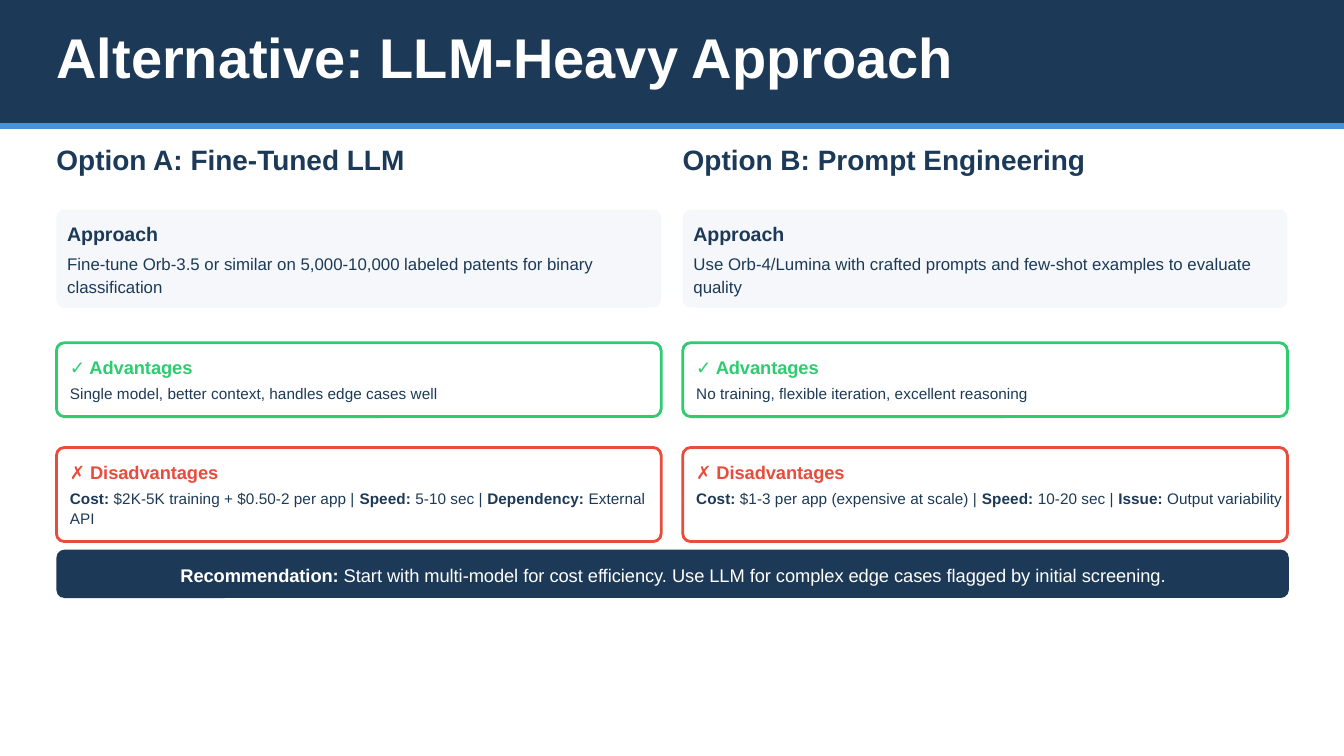
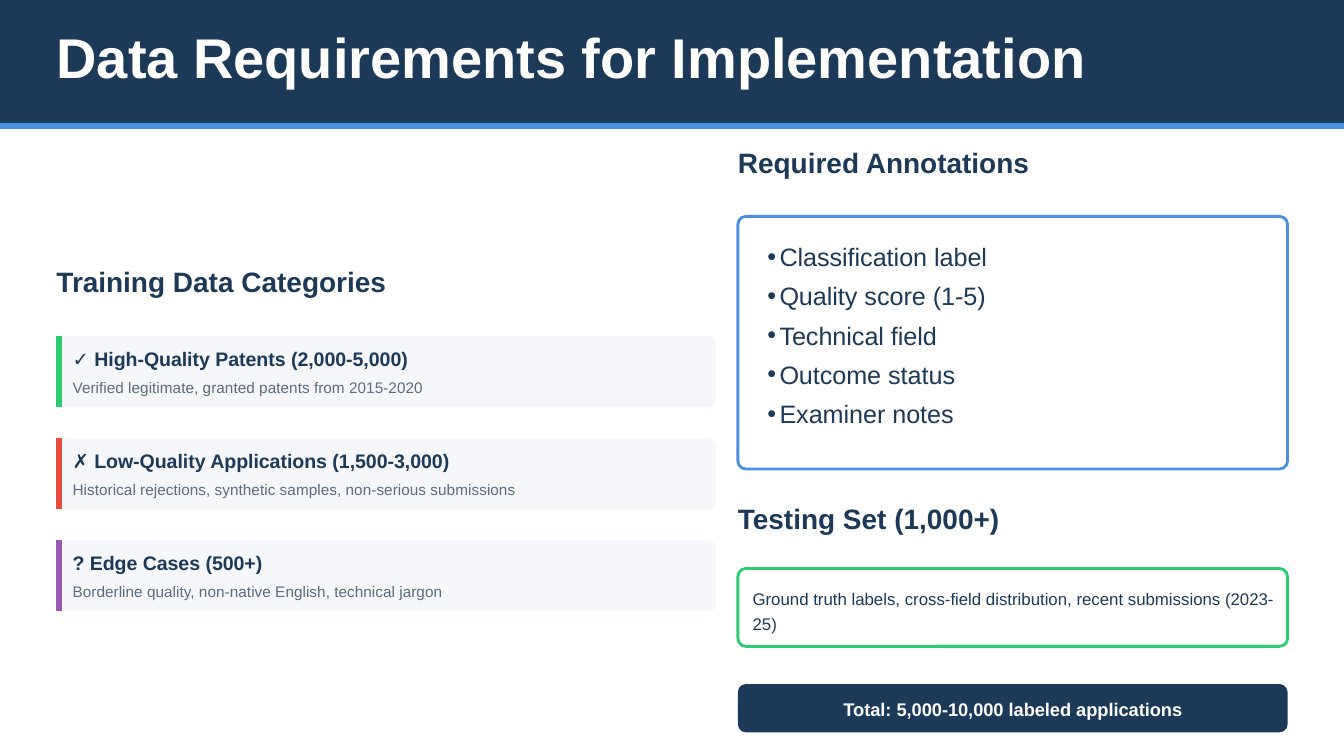
from dataclasses import dataclass
from typing import NamedTuple, Optional

from lxml.etree import SubElement
from pptx import Presentation
from pptx.dml.color import RGBColor
from pptx.enum.shapes import MSO_CONNECTOR as Connector, MSO_SHAPE as Preset
from pptx.enum.text import PP_ALIGN as Align
from pptx.oxml.ns import qn
from pptx.slide import Slide
from pptx.util import Inches, Pt


class TextStyle(NamedTuple):
    size: float
    leading: float
    after: float = 0


@dataclass(frozen=True)
class Theme:
    font: str = "Arial"
    navy: str = "1C3A57"
    blue: str = "4A90E2"
    green: str = "2ECC71"
    red: str = "E74C3C"
    purple: str = "9B59B6"
    pale: str = "F5F7FA"
    white: str = "FFFFFF"
    grey: str = "5A6C7D"
    title: TextStyle = TextStyle(30, 30)
    heading: TextStyle = TextStyle(15, 16.7, 6)
    bullet: TextStyle = TextStyle(13.5, 21)
    card_title: TextStyle = TextStyle(10.5, 12.6, 3)
    body: TextStyle = TextStyle(9, 12.6)
    note: TextStyle = TextStyle(9, 13.5)
    verdict_title: TextStyle = TextStyle(9.75, 11.7, 2.2)
    verdict: TextStyle = TextStyle(8.25, 10.7)
    detail: TextStyle = TextStyle(8.25, 11.6)
    banner: TextStyle = TextStyle(9.75, 13.7)


THEME = Theme()
SLIDE_WIDTH = 10
SLIDE_HEIGHT = SLIDE_WIDTH * 9 / 16
MARGIN = 0.42
CORNER = 0.06


class Box(NamedTuple):
    left: float
    top: float
    width: float
    height: float


@dataclass(frozen=True)
class Option:
    left: float
    heading: str
    heading_width: float
    approach: str
    advantages: str
    disadvantages: str


@dataclass(frozen=True)
class Category:
    title: str
    detail: str
    accent: str


OPTIONS = (
    Option(MARGIN, "Option A: Fine-Tuned LLM", 2.65,
           "Fine-tune Orb-3.5 or similar on 5,000-10,000 labeled patents "
           "for binary classification",
           "Single model, better context, handles edge cases well",
           "**Cost:** $2K-5K training + $0.50-2 per app | **Speed:** 5-10 sec | "
           "**Dependency:** External API"),
    Option(5.08, "Option B: Prompt Engineering", 3.06,
           "Use Orb-4/Lumina with crafted prompts and few-shot examples "
           "to evaluate quality",
           "No training, flexible iteration, excellent reasoning",
           "**Cost:** $1-3 per app (expensive at scale) | **Speed:** 10-20 sec | "
           "**Issue:** Output variability"),
)

CATEGORIES = (
    Category("✓ High-Quality Patents (2,000-5,000)",
             "Verified legitimate, granted patents from 2015-2020", THEME.green),
    Category("✗ Low-Quality Applications (1,500-3,000)",
             "Historical rejections, synthetic samples, non-serious submissions",
             THEME.red),
    Category("? Edge Cases (500+)",
             "Borderline quality, non-native English, technical jargon",
             THEME.purple),
)

ANNOTATIONS = ("Classification label", "Quality score (1-5)", "Technical field",
               "Outcome status", "Examiner notes")


# Drawing helpers
def inches(box: Box) -> tuple:
    return tuple(Inches(value) for value in box)


def add_text(slide: Slide, text: str, box: Box, *, style: TextStyle,
             color: str = THEME.navy, bold: bool = False,
             align: Align = Align.LEFT, bullet: str = "",
             indent: float = 0.09) -> None:
    """Write one paragraph per line; **marks** switch bold on and off."""
    frame = slide.shapes.add_textbox(*inches(box)).text_frame
    frame.word_wrap = True
    frame.margin_left = Inches(indent if bullet else 0)
    frame.margin_top = frame.margin_right = frame.margin_bottom = 0
    for number, line in enumerate(text.split("\n")):
        paragraph = frame.add_paragraph() if number else frame.paragraphs[0]
        paragraph.alignment = align
        paragraph.line_spacing = Pt(style.leading)
        paragraph.space_after = Pt(style.after)
        if bullet:
            properties = paragraph._p.get_or_add_pPr()
            properties.set("marL", str(Inches(indent)))
            properties.set("indent", str(-Inches(indent)))
            SubElement(properties, qn("a:buFont")).set("typeface", THEME.font)
            SubElement(properties, qn("a:buChar")).set("char", bullet)
        for part, words in enumerate(line.split("**")):
            if not words:
                continue
            run = paragraph.add_run()
            run.text = words
            run.font.name = THEME.font
            run.font.size = Pt(style.size)
            run.font.bold = bold or part % 2 == 1
            run.font.color.rgb = RGBColor.from_string(color)


def add_panel(slide: Slide, box: Box, *, fill: str = THEME.white,
              outline: Optional[str] = None, rounded: bool = True) -> None:
    preset = Preset.ROUNDED_RECTANGLE if rounded else Preset.RECTANGLE
    panel = slide.shapes.add_shape(preset, *inches(box))
    panel.shadow.inherit = False
    if rounded:
        panel.adjustments[0] = CORNER / box.height
    panel.fill.solid()
    panel.fill.fore_color.rgb = RGBColor.from_string(fill)
    if outline:
        panel.line.color.rgb = RGBColor.from_string(outline)
        panel.line.width = Pt(1.5)
    else:
        panel.line.fill.background()


def add_rule(slide: Slide, start: tuple[float, float], end: tuple[float, float],
             color: str) -> None:
    rule = slide.shapes.add_connector(
        Connector.STRAIGHT, *(Inches(value) for value in (*start, *end)))
    rule.line.color.rgb = RGBColor.from_string(color)
    rule.line.width = Pt(3)
    SubElement(rule._element.spPr, qn("a:effectLst"))


def add_heading(slide: Slide, text: str, left: float, top: float,
                width: float) -> None:
    add_text(slide, text, Box(left, top, width, 0.23), style=THEME.heading,
             bold=True)


def add_banner(slide: Slide, text: str, box: Box, padding: float,
               bold: bool = False) -> None:
    add_panel(slide, box, fill=THEME.navy)
    add_text(slide, text,
             Box(box.left + padding, box.top + 0.08,
                 box.width - 2 * padding, 0.19),
             style=THEME.banner, color=THEME.white, bold=bold,
             align=Align.CENTER)


def add_titled_slide(deck: Presentation, title: str, title_width: float) -> Slide:
    slide = deck.slides.add_slide(deck.slide_layouts[6])
    add_panel(slide, Box(0, 0, SLIDE_WIDTH, 0.96), fill=THEME.navy, rounded=False)
    add_rule(slide, (0, 0.94), (SLIDE_WIDTH, 0.94), THEME.blue)
    add_text(slide, title, Box(MARGIN, 0.25, title_width, 0.42),
             style=THEME.title, color=THEME.white, bold=True)
    return slide


# Slide 1: two options side by side
def add_verdict(slide: Slide, title: str, text: str, box: Box, color: str) -> None:
    add_panel(slide, box, outline=color)
    left, width = box.left + 0.1, box.width - 0.12
    add_text(slide, title, Box(left, box.top + 0.1, width, 0.16),
             style=THEME.verdict_title, color=color, bold=True)
    add_text(slide, text, Box(left, box.top + 0.3, width, box.height - 0.4),
             style=THEME.verdict)


def add_option(slide: Slide, option: Option) -> None:
    left, width = option.left, 4.5
    add_heading(slide, option.heading, left, 1.08, option.heading_width)
    add_panel(slide, Box(left, 1.56, width, 0.73), fill=THEME.pale)
    add_text(slide, "Approach", Box(left + 0.08, 1.65, width - 0.08, 0.17),
             style=THEME.card_title, bold=True)
    add_text(slide, option.approach, Box(left + 0.08, 1.86, width - 0.08, 0.35),
             style=THEME.body)
    add_verdict(slide, "✓ Advantages", option.advantages,
                Box(left, 2.55, width, 0.55), THEME.green)
    add_verdict(slide, "✗ Disadvantages", option.disadvantages,
                Box(left, 3.33, width, 0.7), THEME.red)


def build_options(deck: Presentation) -> None:
    slide = add_titled_slide(deck, "Alternative: LLM-Heavy Approach", 6.81)
    for option in OPTIONS:
        add_option(slide, option)
    add_banner(slide,
               "**Recommendation:** Start with multi-model for cost efficiency. "
               "Use LLM for complex edge cases flagged by initial screening.",
               Box(MARGIN, 4.09, 9.17, 0.36), 0.16)


# Slide 2: training data, annotations and testing set
def add_category(slide: Slide, category: Category, top: float) -> None:
    box = Box(MARGIN, top, 4.91, 0.53)
    left, width = box.left + 0.12, box.width - 0.12
    edge = box.left + 0.02
    add_panel(slide, box, fill=THEME.pale)
    add_rule(slide, (edge, top), (edge, top + box.height), category.accent)
    add_text(slide, category.title, Box(left, top + 0.08, width, 0.17),
             style=THEME.card_title, bold=True)
    add_text(slide, category.detail, Box(left, top + 0.29, width, 0.16),
             style=THEME.detail, color=THEME.grey)


def build_data_requirements(deck: Presentation) -> None:
    slide = add_titled_slide(deck, "Data Requirements for Implementation", 7.82)
    add_heading(slide, "Training Data Categories", MARGIN, 1.99, 2.51)
    for row, category in enumerate(CATEGORIES):
        add_category(slide, category, 2.5 + row * 0.76)

    left, width = 5.49, 4.09
    add_heading(slide, "Required Annotations", left, 1.1, 2.22)
    add_panel(slide, Box(left, 1.61, width, 1.88), outline=THEME.blue)
    add_text(slide, "\n".join(ANNOTATIONS),
             Box(left + 0.13, 1.73, width - 0.25, 1.62),
             style=THEME.bullet, bullet="•")

    add_heading(slide, "Testing Set (1,000+)", left, 3.75, 2.09)
    add_panel(slide, Box(left, 4.23, width, 0.58), outline=THEME.green)
    add_text(slide,
             "Ground truth labels, cross-field distribution, "
             "recent submissions (2023-25)",
             Box(left + 0.11, 4.34, width - 0.13, 0.38), style=THEME.note)
    add_banner(slide, "Total: 5,000-10,000 labeled applications",
               Box(left, 5.09, width, 0.36), 0.05, bold=True)


def main() -> None:
    deck = Presentation()
    deck.slide_width = Inches(SLIDE_WIDTH)
    deck.slide_height = Inches(SLIDE_HEIGHT)
    build_options(deck)
    build_data_requirements(deck)
    deck.save("out.pptx")


if __name__ == "__main__":
    main()
